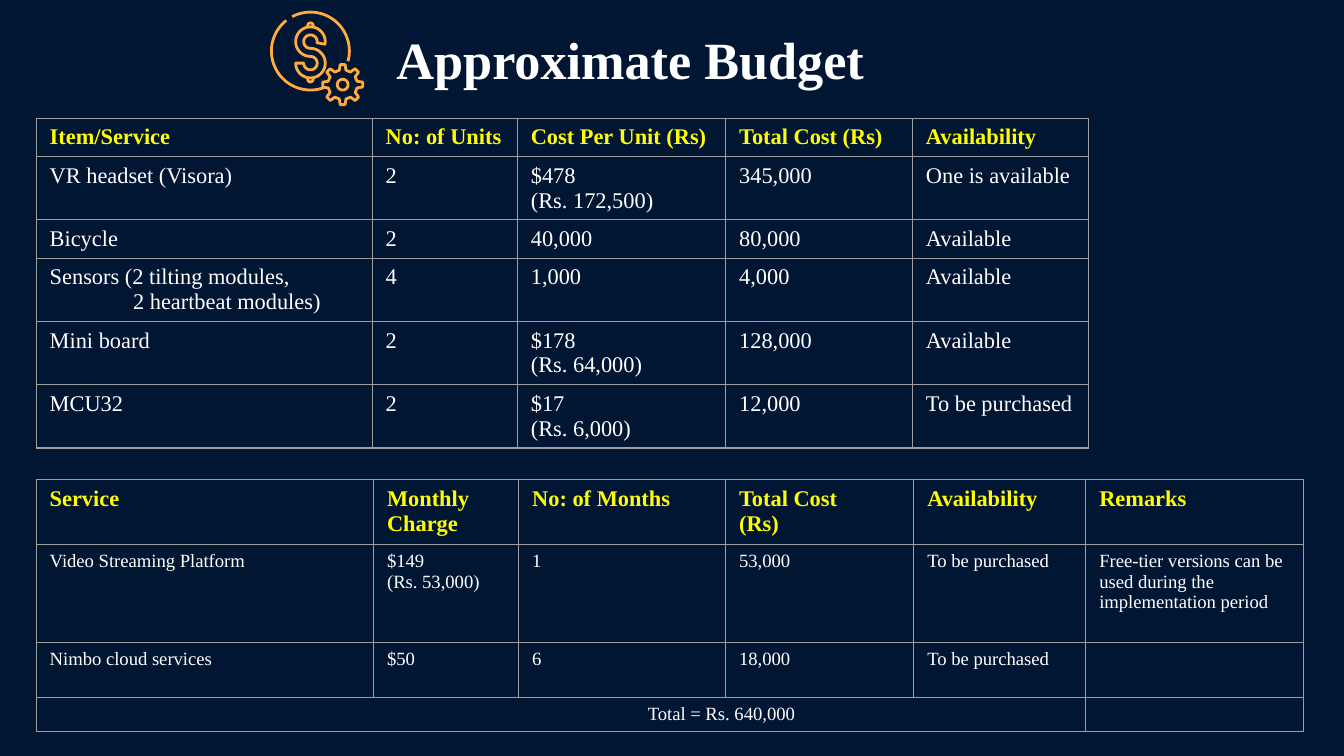
"""Builds the approximate budget slide."""
from math import cos, radians, sin

from lxml.etree import SubElement
from pptx import Presentation
from pptx.dml.color import RGBColor
from pptx.enum.text import MSO_ANCHOR, PP_ALIGN
from pptx.oxml.ns import qn
from pptx.util import Inches, Pt

FONT = "Times New Roman"
HUES = {"back": "001633", "head": "FFFF00", "text": "FFFFFF",
        "rule": "9E9E9E", "icon": "FFAB40"}

ITEMS = {
    "top": 0.88, "size": 12,
    "cols": [2.5, 1.08, 1.55, 1.39, 1.31],
    "tall": [0.28, 0.47, 0.28, 0.47, 0.47, 0.47],
    "rows": [
        ["Item/Service", "No: of Units", "Cost Per Unit (Rs)", "Total Cost (Rs)", "Availability"],
        ["VR headset (Visora)", "2", "$478\n(Rs. 172,500)", "345,000", "One is available"],
        ["Bicycle", "2", "40,000", "80,000", "Available"],
        ["Sensors (2 tilting modules,\n2 heartbeat modules)", "4", "1,000", "4,000", "Available"],
        ["Mini board", "2", "$178\n(Rs. 64,000)", "128,000", "Available"],
        ["MCU32", "2", "$17\n(Rs. 6,000)", "12,000", "To be purchased"],
    ],
}
COSTS = {
    "top": 3.57, "size": 10,
    "cols": [2.51, 1.08, 1.54, 1.4, 1.28, 1.62],
    "tall": [0.48, 0.73, 0.41, 0.25],
    "rows": [
        ["Service", "Monthly Charge", "No: of Months", "Total Cost\n(Rs)", "Availability", "Remarks"],
        ["Video Streaming Platform", "$149\n(Rs. 53,000)", "1", "53,000", "To be purchased",
         "Free-tier versions can be used during the implementation period"],
        ["Nimbo cloud services", "$50", "6", "18,000", "To be purchased", ""],
        ["Total = Rs. 640,000", "", "", "", "", ""],
    ],
}


def tint(name):
    return RGBColor.from_string(HUES[name])


def style(para, size, hue, bold):
    font = para.font
    font.name, font.size, font.bold = FONT, Pt(size), bold
    font.color.rgb = tint(hue)


def indent(para, left):
    props = para._p.get_or_add_pPr()
    props.set("marL", str(Inches(left)))
    props.set("indent", "0")


def border(cell):
    props = cell._tc.get_or_add_tcPr()
    for side in ("lnL", "lnR", "lnT", "lnB"):
        line = SubElement(props, qn(f"a:{side}"), w=str(Pt(0.75)))
        fill = SubElement(line, qn("a:solidFill"))
        SubElement(fill, qn("a:srgbClr"), val=HUES["rule"])
    cell.fill.background()


def grid(slide, data):
    rows, cols, tall = data["rows"], data["cols"], data["tall"]
    frame = slide.shapes.add_table(len(rows), len(cols), Inches(0.27), Inches(data["top"]),
                                   Inches(sum(cols)), Inches(sum(tall)))
    table = frame.table
    table.first_row = table.horz_banding = False
    for col, width in zip(table.columns, cols):
        col.width = Inches(width)
    for row, height, texts in zip(table.rows, tall, rows):
        row.height = Inches(height)
        head = texts is rows[0]
        for cell, text in zip(row.cells, texts):
            border(cell)
            cell.text = text
            for para in cell.text_frame.paragraphs:
                style(para, 12 if head else data["size"], "head" if head else "text", head)
                if not text:
                    SubElement(para._p, qn("a:endParaRPr"), sz=str(data["size"] * 100))
    return table


def arc(x, y, size, start, end, step=5):
    count = max(1, round(abs(end - start) / step))
    turns = [radians(start + (end - start) * i / count) for i in range(count + 1)]
    return [(x + size * cos(t), y + size * sin(t)) for t in turns]


def trace(group, points, close=False):
    spots = [(Inches(x), Inches(y)) for x, y in points]
    pen = group.shapes.build_freeform(*spots[0], scale=1.0)
    pen.add_line_segments(spots[1:], close=close)
    shape = pen.convert_to_shape()
    shape.shadow.inherit = False
    shape.fill.background()
    shape.line.color.rgb = tint("icon")
    shape.line.width = Pt(1.5)


def icon(slide):
    group = slide.shapes.add_group_shape()
    for start, end in ((70, 232), (242, 375)):
        trace(group, arc(2.31, 0.38, 0.29, start, end))
    mid, size, half = 2.31, 0.08, 0.03
    high, low = 0.31, 0.47
    outer = arc(mid, high, size + half, 10, -270) + arc(mid, low, size - half, -90, 180)
    inner = arc(mid, low, size + half, 180, -90) + arc(mid, high, size - half, -270, 10)
    trace(group, outer + inner, True)
    for edge, base, start, end in ((0.2, 0.19, 180, 360), (0.58, 0.59, 180, 0)):
        cap = arc(mid, base, 0.02, start, end, 20)
        trace(group, [(mid - 0.02, edge)] + cap + [(mid + 0.02, edge)])
    teeth = [(2.55 + r * cos(radians(45 * k + a)), 0.63 + r * sin(radians(45 * k + a)))
             for k in range(8)
             for r, a in ((0.11, -13), (0.15, -7), (0.15, 7), (0.11, 13))]
    trace(group, teeth, True)
    trace(group, arc(2.55, 0.63, 0.04, 0, 350, 10), True)


def main():
    deck = Presentation()
    deck.slide_width = Inches(10)
    deck.slide_height = deck.slide_width * 9 // 16
    slide = deck.slides.add_slide(deck.slide_layouts[5])
    slide.background.fill.solid()
    slide.background.fill.fore_color.rgb = tint("back")

    title = slide.shapes.title
    title.left, title.top = Inches(2.85), Inches(0.1)
    title.width, title.height = Inches(5.14), Inches(1.03)
    frame = title.text_frame
    frame.text = "Approximate Budget"
    frame.vertical_anchor = MSO_ANCHOR.TOP
    frame.margin_left = frame.margin_right = Inches(0.1)
    frame.margin_top = frame.margin_bottom = Inches(0.1)
    para = frame.paragraphs[0]
    para.alignment = PP_ALIGN.LEFT
    style(para, 28, "text", True)

    icon(slide)
    items = grid(slide, ITEMS)
    indent(items.cell(3, 0).text_frame.paragraphs[1], 0.62)
    costs = grid(slide, COSTS)
    total = costs.cell(3, 0)
    total.merge(costs.cell(3, 4))
    indent(total.text_frame.paragraphs[0], 4.45)
    deck.save("out.pptx")


if __name__ == "__main__":
    main()
